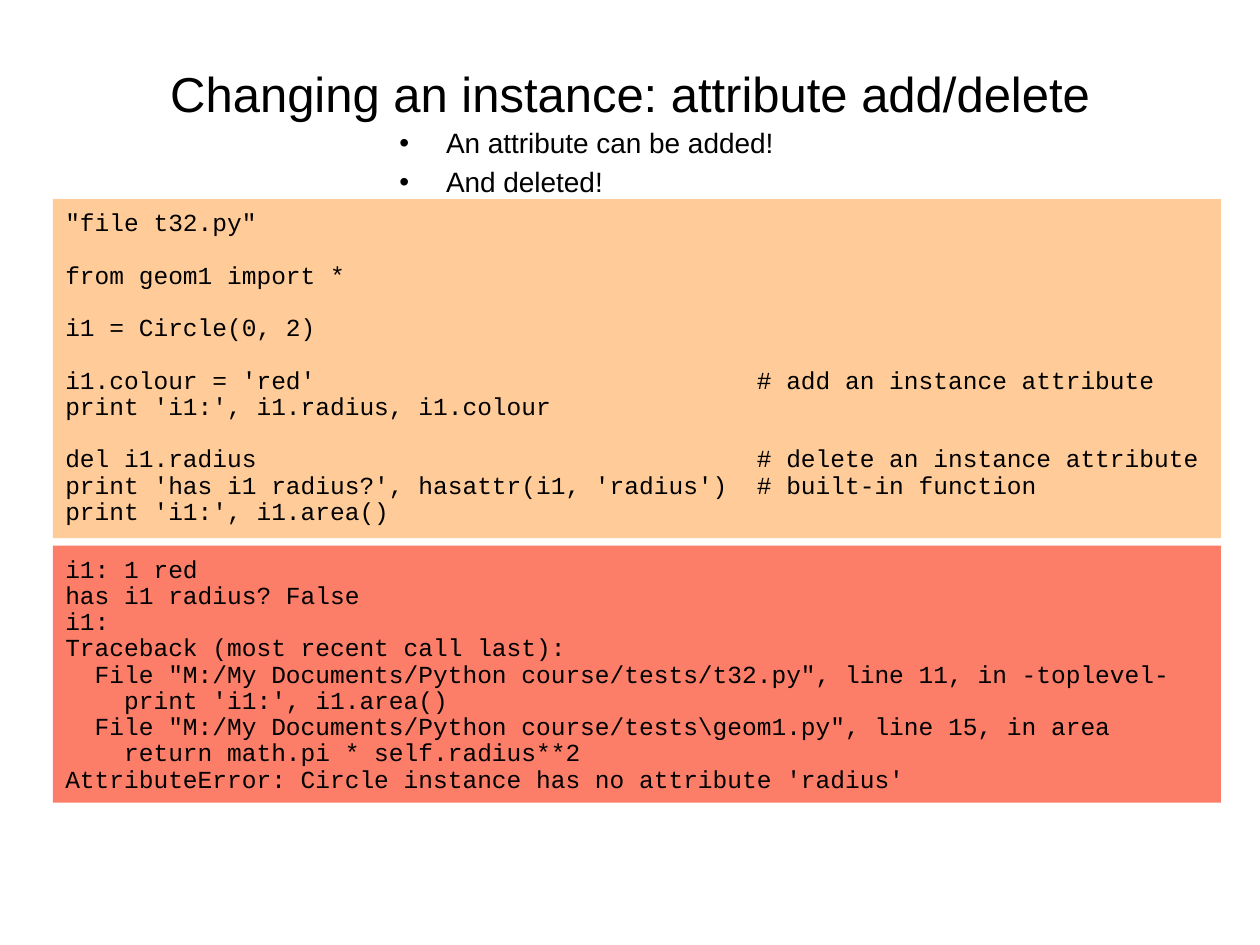
from lxml.etree import SubElement
from pptx import Presentation
from pptx.dml.color import RGBColor
from pptx.enum.shapes import MSO_SHAPE
from pptx.enum.text import MSO_ANCHOR, PP_ALIGN
from pptx.oxml.ns import qn
from pptx.util import Inches, Pt

BLACK = RGBColor(0x00, 0x00, 0x00)
PEACH = RGBColor(0xFF, 0xCC, 0x99)
CORAL = RGBColor(0xFC, 0x7D, 0x68)

PANEL_LEFT, PANEL_WIDTH = 4.2, 92.7

PROGRAM = """\
"file t32.py"

from geom1 import *

i1 = Circle(0, 2)

i1.colour = 'red'                              # add an instance attribute
print 'i1:', i1.radius, i1.colour

del i1.radius                                  # delete an instance attribute
print 'has i1 radius?', hasattr(i1, 'radius')  # built-in function
print 'i1:', i1.area()"""

OUTPUT = r"""i1: 1 red
has i1 radius? False
i1:
Traceback (most recent call last):
  File "M:/My Documents/Python course/tests/t32.py", line 11, in -toplevel-
    print 'i1:', i1.area()
  File "M:/My Documents/Python course/tests\geom1.py", line 15, in area
    return math.pi * self.radius**2
AttributeError: Circle instance has no attribute 'radius'"""


def set_values(target, values):
    for name, value in values.items():
        setattr(target, name, value)


class SlideBuilder:
    title_font = {"name": "Arial", "size": Pt(28)}
    bullet_font = {"name": "Arial", "size": Pt(16)}
    code_font = {"name": "Courier New", "size": Pt(14)}
    code_pitch = Pt(15)
    bullet_indent = Inches(0.37)

    def __init__(self, deck):
        self.deck = deck
        self.page = deck.slides.add_slide(deck.slide_layouts[6])

    def area(self, left, top, width, height):
        across, down = self.deck.slide_width, self.deck.slide_height
        shares = ((left, across), (top, down), (width, across), (height, down))
        return [round(share * length / 100) for share, length in shares]

    def frame(self, box, anchor, side=0, top=0):
        set_values(box.text_frame, {
            "word_wrap": True,
            "vertical_anchor": anchor,
            "margin_left": Inches(side),
            "margin_right": Inches(side),
            "margin_top": Inches(top),
            "margin_bottom": 0,
        })
        return box.text_frame

    def fill_para(self, para, text, font, layout):
        span = para.add_run()
        span.text = text
        set_values(para, layout)
        set_values(span.font, font)
        span.font.color.rgb = BLACK

    def title(self, text, area):
        box = self.page.shapes.add_textbox(*self.area(*area))
        para = self.frame(box, MSO_ANCHOR.MIDDLE).paragraphs[0]
        self.fill_para(para, text, self.title_font,
                       {"alignment": PP_ALIGN.CENTER, "line_spacing": 1.04})

    def bullets(self, items, area):
        box = self.page.shapes.add_textbox(*self.area(*area))
        frame = self.frame(box, MSO_ANCHOR.TOP)
        for index, item in enumerate(items):
            para = frame.add_paragraph() if index else frame.paragraphs[0]
            self.fill_para(para, item, self.bullet_font,
                           {"line_spacing": 0.94, "space_before": Pt(4 if index else 0)})
            properties = para._p.get_or_add_pPr()
            properties.set("marL", str(self.bullet_indent))
            properties.set("indent", str(-self.bullet_indent))
            SubElement(properties, qn("a:buFont"), typeface="Arial")
            SubElement(properties, qn("a:buChar"), char="•")

    def code_panel(self, code, fill, top, height):
        area = self.area(PANEL_LEFT, top, PANEL_WIDTH, height)
        panel = self.page.shapes.add_shape(MSO_SHAPE.RECTANGLE, *area)
        panel.shadow.inherit = False
        panel.fill.solid()
        panel.fill.fore_color.rgb = fill
        panel.line.fill.background()
        frame = self.frame(panel, MSO_ANCHOR.TOP, side=0.1, top=0.09)
        para, gap = frame.paragraphs[0], 0
        for index, line in enumerate(code.splitlines()):
            if not line:
                gap += self.code_pitch
                continue
            if index:
                para = frame.add_paragraph()
            self.fill_para(para, line, self.code_font, {
                "alignment": PP_ALIGN.LEFT,
                "line_spacing": self.code_pitch,
                "space_before": gap,
            })
            gap = 0


def main():
    deck = Presentation()
    set_values(deck, {"slide_width": Inches(10), "slide_height": Inches(7.5)})
    slide = SlideBuilder(deck)
    slide.title("Changing an instance: attribute add/delete", (7.5, 5.87, 85, 7.6))
    slide.bullets(["An attribute can be added!", "And deleted!"], (31.7, 13.6, 35.8, 7.6))
    slide.code_panel(PROGRAM, PEACH, 21.07, 35.87)
    slide.code_panel(OUTPUT, CORAL, 57.73, 27.2)
    deck.save("out.pptx")


if __name__ == "__main__":
    main()
